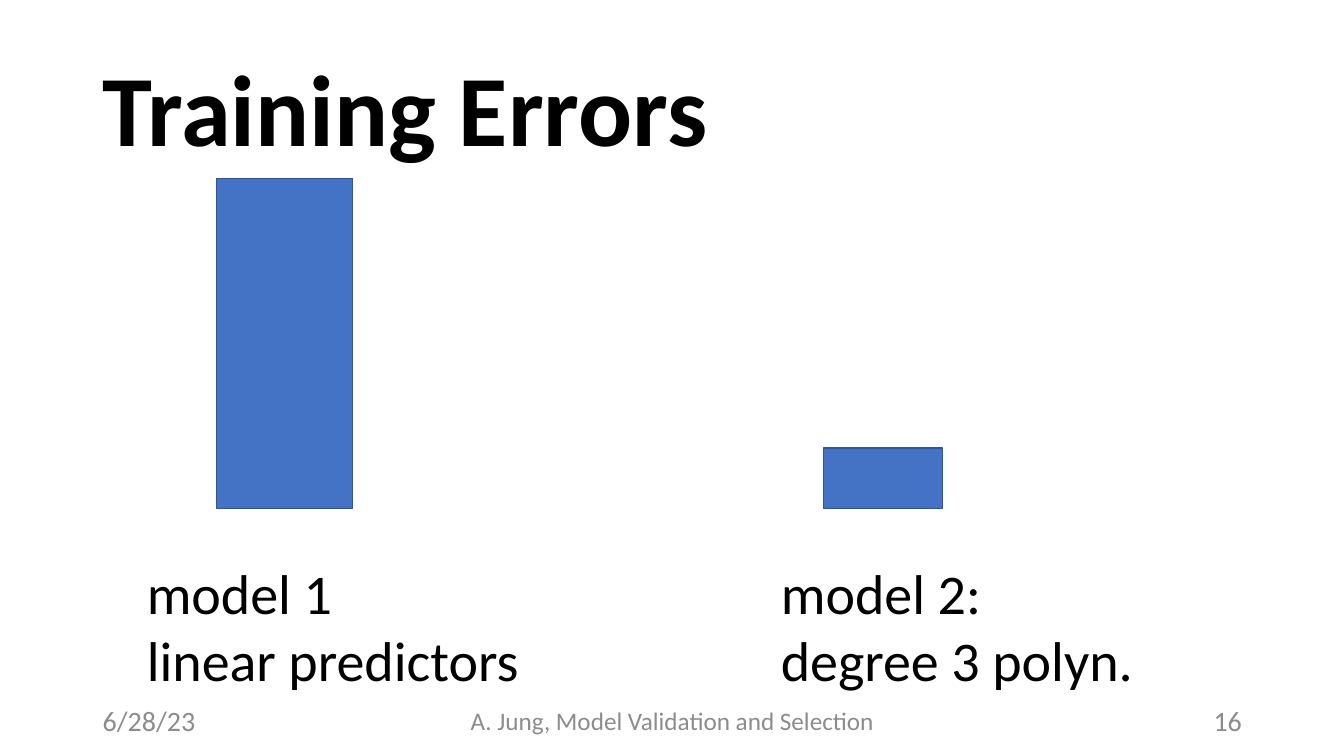
from dataclasses import dataclass

from pptx import Presentation
from pptx.dml.color import RGBColor
from pptx.enum.shapes import MSO_SHAPE
from pptx.enum.text import MSO_ANCHOR, PP_ALIGN
from pptx.slide import Slide
from pptx.text.text import TextFrame
from pptx.util import Cm, Pt

FONT = "Calibri"
BLACK, GREY, BLUE, DARK_BLUE = "000000", "8C8C8C", "4472C4", "325491"
MARGIN = 2.34
CONTENT_WIDTH = 29.21
BASELINE = 12.81
CAPTION_TOP = 13.94
FOOTER_TOP = 17.65


@dataclass
class Model:
    """A model's training error bar and its caption, in centimetres."""
    bar_left: float
    bar_width: float
    error_height: float
    caption_left: float
    caption_width: float
    caption: tuple[str, ...]


@dataclass
class FooterItem:
    """One text in the footer row, in centimetres and points."""
    left: float
    width: float
    text: str
    size: int
    align: PP_ALIGN


MODELS = [
    Model(5.46, 3.43, 8.31, 3.45, 9.98, ("model 1", "linear predictors")),
    Model(20.75, 3.0, 1.52, 19.43, 9.8, ("model 2:", "degree 3 polyn.")),
]
SIDE_WIDTH = 7.62
FOOTER = [
    FooterItem(MARGIN, SIDE_WIDTH, "6/28/23", 20, PP_ALIGN.LEFT),
    FooterItem(11.23, 11.43, "A. Jung, Model Validation and Selection", 18, PP_ALIGN.CENTER),
    FooterItem(MARGIN + CONTENT_WIDTH - SIDE_WIDTH, SIDE_WIDTH, "16", 20, PP_ALIGN.RIGHT),
]


def colour(value: str) -> RGBColor:
    """Turn a hex string into a colour."""
    return RGBColor.from_string(value)


def write(frame: TextFrame, *lines: str, size: int, ink: str = BLACK, bold: bool = False,
          align: PP_ALIGN = PP_ALIGN.LEFT, anchor: MSO_ANCHOR = MSO_ANCHOR.TOP,
          spacing: float = 1.0, wrap: bool = True) -> None:
    """Fill a text frame with one formatted paragraph per line."""
    frame.word_wrap = wrap
    frame.vertical_anchor = anchor
    for index, line in enumerate(lines):
        para = frame.add_paragraph() if index else frame.paragraphs[0]
        para.alignment = align
        para.line_spacing = spacing
        span = para.add_run()
        span.text = line
        span.font.name = FONT
        span.font.size = Pt(size)
        span.font.bold = bold
        span.font.color.rgb = colour(ink)


def add_title(page: Slide, text: str) -> None:
    """Place and format the title placeholder."""
    title = page.shapes.title
    title.left, title.top = Cm(MARGIN), Cm(1.02)
    title.width, title.height = Cm(CONTENT_WIDTH), Cm(3.68)
    write(title.text_frame, text, size=72, bold=True, anchor=MSO_ANCHOR.MIDDLE, spacing=0.9)


def add_model(page: Slide, model: Model) -> None:
    """Draw a model's error bar standing on the baseline, with its caption."""
    bar = page.shapes.add_shape(MSO_SHAPE.RECTANGLE, Cm(model.bar_left),
                                Cm(BASELINE - model.error_height),
                                Cm(model.bar_width), Cm(model.error_height))
    bar.shadow.inherit = False
    bar.fill.solid()
    bar.fill.fore_color.rgb = colour(BLUE)
    bar.line.color.rgb = colour(DARK_BLUE)
    bar.line.width = Pt(1)
    box = page.shapes.add_textbox(Cm(model.caption_left), Cm(CAPTION_TOP),
                                  Cm(model.caption_width), Cm(3.68))
    write(box.text_frame, *model.caption, size=40, wrap=False)


def add_footer_item(page: Slide, item: FooterItem) -> None:
    """Write one grey text in the footer row."""
    box = page.shapes.add_textbox(Cm(item.left), Cm(FOOTER_TOP), Cm(item.width), Cm(1.02))
    write(box.text_frame, item.text, size=item.size, ink=GREY, align=item.align,
          anchor=MSO_ANCHOR.MIDDLE)


def main() -> None:
    """Build and save the slide."""
    deck = Presentation()
    deck.slide_width, deck.slide_height = Cm(33.87), Cm(19.05)
    title_only = deck.slide_layouts[5]
    page = deck.slides.add_slide(title_only)
    add_title(page, "Training Errors")
    for model in MODELS:
        add_model(page, model)
    for item in FOOTER:
        add_footer_item(page, item)
    deck.save("out.pptx")


main()
